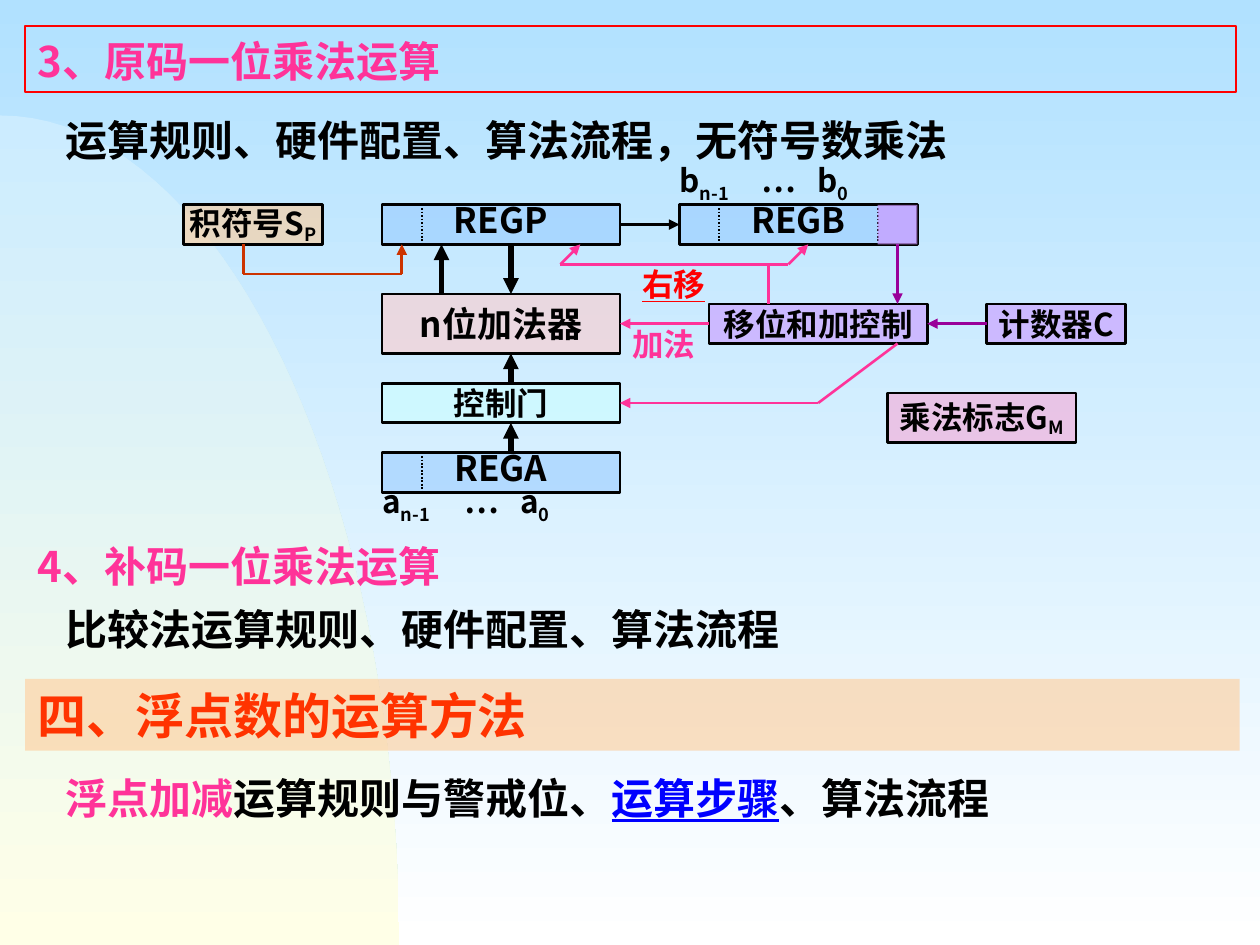
from dataclasses import dataclass

from lxml import etree
from pptx import Presentation
from pptx import util as u
from pptx.dml.color import RGBColor
from pptx.enum import dml, shapes, text
from pptx.oxml.ns import qn

Pt = u.Pt


@dataclass(frozen=True)
class Theme:
    sky: str = "B1E1FF"
    mist: str = "CCECFF"
    cream: str = "FFFFE7"
    white: str = "FFFFFF"
    black: str = "000000"
    pink: str = "FF3399"
    red: str = "FF0000"
    flame: str = "FF3300"
    rust: str = "CC3300"
    blue: str = "0000FF"
    plum: str = "990099"
    peach: str = "FFCC99"
    rose: str = "FFCCCC"
    candy: str = "FF99CC"
    azure: str = "99CCFF"
    aqua: str = "CCFFFF"
    lilac: str = "CC99FF"
    face: str = "Noto Sans CJK SC"
    serif: str = "Times New Roman"
    head: int = 28
    body: int = 24
    label: int = 20
    small: int = 18
    step: float = 11.33


T = Theme()


def rgb(code):
    return RGBColor.from_string(code)


def blend(fill, top, base):
    fill.gradient()
    fill.gradient_angle = 270
    for stop, code in zip(fill.gradient_stops, (top, base)):
        stop.color.rgb = rgb(code)


def add_run(para, words, size=T.body, color=T.black, face=T.face, drop=0, under=False):
    run = para.add_run()
    run.text = words
    font = run.font
    font.size, font.bold, font.name = Pt(size), True, face
    font.color.rgb = rgb(color)
    if under:
        font.underline = True
    props = run._r.get_or_add_rPr()
    if drop:
        props.set("baseline", str(-1000 * drop))
    etree.SubElement(props, qn("a:ea")).set("typeface", T.face)


def set_para(para, runs, align=text.PP_ALIGN.LEFT, space=1.0, indent=0, tabs=()):
    props = para._p.get_or_add_pPr()
    if indent:
        props.set("marL", str(Pt(indent)))
        props.set("indent", "0")
    if tabs:
        stops = etree.SubElement(props, qn("a:tabLst"))
        for tab in tabs:
            etree.SubElement(stops, qn("a:tab"), pos=str(Pt(tab)), algn="l")
    para.alignment, para.line_spacing = align, space
    for words, style in runs:
        add_run(para, words, **style)


def set_frame(shape, pad, anchor=text.MSO_ANCHOR.TOP, wrap=True):
    frame = shape.text_frame
    frame.word_wrap, frame.vertical_anchor = wrap, anchor
    frame.margin_left = frame.margin_right = Pt(pad[0])
    frame.margin_top = frame.margin_bottom = Pt(pad[1])
    return frame


def add_rect(host, box, color, edge=None, clear=60):
    rect = host.add_shape(shapes.MSO_SHAPE.RECTANGLE, *map(Pt, box))
    rect.shadow.inherit = False
    rect.fill.solid()
    rect.fill.fore_color.rgb = rgb(color)
    tint = rect._element.spPr.find(".//" + qn("a:srgbClr"))
    etree.SubElement(tint, qn("a:alpha")).set("val", str(clear * 1000))
    if edge:
        rect.line.color.rgb, rect.line.width = rgb(edge), Pt(1.5)
    else:
        rect.line.fill.background()
    return rect


def add_scene(slide, box):
    left, top, wide, high = box
    blend(slide.background.fill, T.sky, T.white)
    curve = []
    for i in range(1, 41):
        t = i / 40
        x = 3 * (1 - t) ** 2 * t * 0.55 + 3 * (1 - t) * t ** 2 + t ** 3
        y = 3 * (1 - t) * t ** 2 * 0.45 + t ** 3
        curve.append((Pt(left + wide * x), Pt(top + high * y)))
    pen = slide.shapes.build_freeform(Pt(left), Pt(top))
    pen.add_line_segments(curve + [(Pt(left), Pt(top + high))], close=True)
    hill = pen.convert_to_shape()
    hill.shadow.inherit = False
    hill.line.fill.background()
    blend(hill.fill, T.mist, T.cream)
    slide.shapes._spTree.insert(2, hill._element)


def add_title(slide, box, words):
    title = slide.shapes.title
    title.left, title.top, title.width, title.height = map(Pt, box)
    title.line.color.rgb, title.line.width = rgb(T.red), Pt(1)
    frame = set_frame(title, (7.2, 3.6))
    frame.auto_size = text.MSO_AUTO_SIZE.NONE
    set_para(frame.paragraphs[0], [(words, dict(color=T.pink))], space=1.05)


def add_prose(slide, box, *lines):
    frame = set_frame(slide.shapes.add_textbox(*map(Pt, box)), (7.2, 3.6))
    for i, (indent, runs) in enumerate(lines):
        para = frame.add_paragraph() if i else frame.paragraphs[0]
        set_para(para, runs, space=1.25, indent=indent)


def add_band(slide, box, words):
    frame = set_frame(add_rect(slide.shapes, box, T.peach), (7.2, 3.6))
    set_para(frame.paragraphs[0], [(words, dict(size=T.head, color=T.flame))])


def add_wiring(slide, left, top):
    host = slide.shapes.add_group_shape().shapes

    def spot(x, y):
        return Pt(left + x * T.step), Pt(top + y * T.step)

    def area(x, y, wide, high):
        return left + x * T.step, top + y * T.step, wide * T.step, high * T.step

    def block(box, words, color, size=T.small, sub="", space=1.0, clear=60):
        rect = add_rect(host, area(*box), color, T.black, clear)
        frame = set_frame(rect, (1.5, 0.7), text.MSO_ANCHOR.MIDDLE, wrap=False)
        runs = [(words, dict(size=size))]
        if sub:
            runs.append((sub, dict(size=size, drop=18)))
        set_para(frame.paragraphs[0], runs, text.PP_ALIGN.CENTER, space)
        return rect

    def wire(start, end, color, width=1.5, arrow=True, dots=False, tie=(), join=()):
        line = host.add_connector(shapes.MSO_CONNECTOR.STRAIGHT, *spot(*start), *spot(*end))
        if tie:
            line.begin_connect(*tie)
        if join:
            line.end_connect(*join)
        line.line.color.rgb, line.line.width = rgb(color), Pt(width)
        if dots:
            line.line.dash_style = dml.MSO_LINE.ROUND_DOT
        if arrow:
            etree.SubElement(line.line._get_or_add_ln(), qn("a:tailEnd")).set("type", "triangle")
        etree.SubElement(line._element.spPr, qn("a:effectLst"))

    def bits(box, name, space):
        frame = set_frame(host.add_textbox(*map(Pt, area(*box))), (0, 0))
        low = dict(size=T.small, drop=25)
        base = dict(size=T.small)
        runs = [(name, base), ("n-1", low), ("\t…\t" + name, base), ("0", low)]
        set_para(frame.paragraphs[0], runs, space=space, tabs=(47, 79))

    def note(x, y, words, color, under=False):
        frame = set_frame(host.add_textbox(*map(Pt, area(x, y, 4, 2))), (1.5, 0.7),
                          text.MSO_ANCHOR.MIDDLE)
        set_para(frame.paragraphs[0], [(words, dict(size=T.small, color=color, under=under))])

    regs = {}
    for name, x, y in (("REGP", 10, 0), ("REGB", 25, 0), ("REGA", 10, 12.5)):
        regs[name] = block((x, y, 12, 2), name, T.azure, T.label, space=0.7)
        wire((x + 2, y), (x + 2, y + 2), T.black, 1, False, True)
    adder = block((10, 4.5, 12, 3), "n位加法器", T.rose, T.label)
    gate = block((10, 9, 12, 2), "控制门", T.aqua)
    shift = block((26.5, 5, 11, 2), "移位和加控制", T.lilac)
    count = block((40.5, 5, 7, 2), "计数器C", T.lilac)
    block((0, 0, 7, 2), "积符号S", T.peach, sub="P")
    block((35.5, 9.5, 9.5, 2.5), "乘法标志G", T.candy, sub="M", clear=49)

    for start, end in (((16.5, 9), (16.5, 7.5)), ((13, 4.5), (13, 2)),
                       ((16.5, 12.5), (16.5, 11)), ((16.5, 2), (16.5, 4.5))):
        wire(start, end, T.black, 3)
    wire((22, 1), (25, 1), T.black, tie=(regs["REGP"], 3), join=(regs["REGB"], 1))
    wire((26.5, 6), (22, 6), T.pink, tie=(shift, 1), join=(adder, 3))
    wire((40.5, 6), (37.5, 6), T.plum, tie=(count, 1), join=(shift, 3))
    wire((32, 10), (22, 10), T.pink, join=(gate, 3))
    wire((36, 2), (36, 5), T.plum)
    wire((11, 3.5), (11, 2), T.rust)
    for x in (19, 30.5):
        wire((x, 3), (x + 1, 2), T.pink)
    for start, end, color in (((29.5, 3), (29.5, 5), T.pink), ((19, 3), (30.5, 3), T.pink),
                              ((36, 7), (32, 10), T.pink), ((3, 2), (3, 3.5), T.rust),
                              ((3, 3.5), (11, 3.5), T.rust)):
        wire(start, end, color, arrow=False)
    wire((35, 0), (35, 2), T.black, 1, False, True)
    add_rect(host, area(35, 0, 2, 2), T.lilac, clear=70)
    note(22.5, 6, "加法", T.pink)
    note(23, 3, "右移", T.red, True)
    bits((25, -2, 11.5, 1.5), "b", 0.8)
    bits((10, 14, 11.5, 2), "a", 0.9)


def main():
    deck = Presentation()
    deck.slide_width, deck.slide_height = Pt(720), Pt(540)
    slide = deck.slides.add_slide(deck.slide_layouts[5])
    add_scene(slide, (0, 66, 228, 474))
    add_title(slide, (14.4, 15, 692, 37.5), "3、原码一位乘法运算")
    add_prose(slide, (14.4, 298, 692, 79),
              (0, [("4、补码一位乘法运算", dict(color=T.pink))]),
              (16, [("比较法运算规则、硬件配置、算法流程", {})]))
    add_prose(slide, (14.4, 54.7, 692, 43),
              (16, [("运算规则、", {}), ("硬件配置、算法流程，无符号数乘法", dict(face=T.serif))]))
    add_wiring(slide, 105, 117)
    add_band(slide, (14.4, 388, 694, 41), "四、浮点数的运算方法")
    add_prose(slide, (14.4, 430.5, 692, 43),
              (16, [("浮点加减", dict(color=T.pink)), ("运算规则与警戒位、", {}),
                    ("运算步骤", dict(color=T.blue, under=True)), ("、算法流程", {})]))
    deck.save("out.pptx")


if __name__ == "__main__":
    main()
